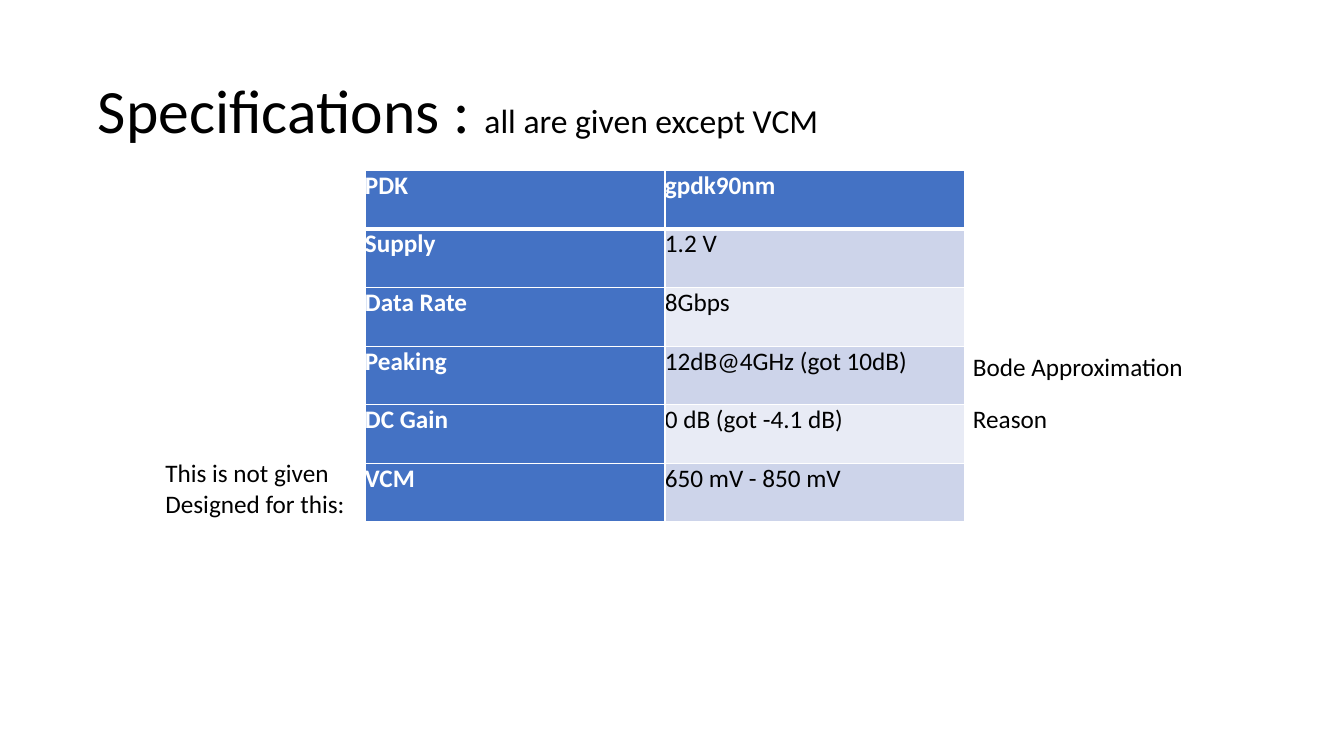
from lxml.etree import SubElement
from pptx import Presentation
from pptx.dml.color import RGBColor
from pptx.enum.text import MSO_ANCHOR, MSO_AUTO_SIZE
from pptx.oxml.ns import qn
from pptx.util import Inches, Pt

BLACK = RGBColor(0x00, 0x00, 0x00)
WHITE = RGBColor(0xFF, 0xFF, 0xFF)
BLUE = RGBColor(0x44, 0x72, 0xC4)
BAND_DARK = RGBColor(0xCD, 0xD4, 0xEA)
BAND_LIGHT = RGBColor(0xE8, 0xEB, 0xF5)

SPECIFICATIONS = [
    ("PDK", "gpdk90nm"),
    ("Supply", "1.2 V"),
    ("Data Rate", "8Gbps"),
    ("Peaking", "12dB@4GHz (got 10dB)"),
    ("DC Gain", "0 dB (got -4.1 dB)"),
    ("VCM", "650 mV - 850 mV"),
]
NOTES = [
    (["Bode Approximation"], 9.6, 3.44, 2.2, 0.36),
    (["Reason"], 9.6, 3.95, 0.85, 0.36),
    (["This is not given", "Designed for this:"], 1.59, 4.49, 1.89, 0.68),
]


def add_text(paragraph, text, size=18, color=BLACK, bold=False, font="Calibri"):
    run = paragraph.add_run()
    run.text = text
    run.font.name = font
    run.font.size = Pt(size)
    run.font.bold = bold
    run.font.color.rgb = color


def set_margins(frame, margin):
    frame.margin_left = frame.margin_right = Inches(margin)
    frame.margin_top = frame.margin_bottom = Inches(margin)


def set_borders(cell, color, **widths):
    properties = cell._tc.get_or_add_tcPr()
    for side in ("L", "R", "T", "B"):
        line = SubElement(properties, qn(f"a:ln{side}"), w=str(Pt(widths.get(side, 1))))
        fill = SubElement(line, qn("a:solidFill"))
        SubElement(fill, qn("a:srgbClr"), val=str(color))


class SlideBuilder:
    def __init__(self, presentation, margin=0.05):
        self.slide = presentation.slides.add_slide(presentation.slide_layouts[5])
        self.margin = margin

    def title(self, parts, left, top, width, height):
        shape = self.slide.shapes.title
        shape.left, shape.top = Inches(left), Inches(top)
        shape.width, shape.height = Inches(width), Inches(height)
        frame = shape.text_frame
        frame.word_wrap = True
        frame.auto_size = MSO_AUTO_SIZE.NONE
        frame.vertical_anchor = MSO_ANCHOR.MIDDLE
        set_margins(frame, self.margin)
        paragraph = frame.paragraphs[0]
        paragraph.alignment = 1
        paragraph.line_spacing = 0.9
        for text, size in parts:
            add_text(paragraph, text, size=size)

    def note(self, lines, left, top, width, height):
        box = self.slide.shapes.add_textbox(
            Inches(left), Inches(top), Inches(width), Inches(height))
        frame = box.text_frame
        frame.word_wrap = False
        frame.auto_size = MSO_AUTO_SIZE.SHAPE_TO_FIT_TEXT
        set_margins(frame, self.margin)
        for index, line in enumerate(lines):
            paragraph = frame.add_paragraph() if index else frame.paragraphs[0]
            add_text(paragraph, line)

    def table(self, rows, left, top, width, height):
        table = self.slide.shapes.add_table(
            len(rows), len(rows[0]), Inches(left), Inches(top),
            Inches(width), Inches(height)).table
        table.first_col = True
        for row, values in enumerate(rows):
            for column, text in enumerate(values):
                cell = table.cell(row, column)
                heading = row == 0 or column == 0
                set_margins(cell, 0)
                set_borders(cell, WHITE, B=3 if row == 0 else 1,
                            T=3 if row == 1 and column else 1)
                cell.fill.solid()
                band = BAND_DARK if row % 2 else BAND_LIGHT
                cell.fill.fore_color.rgb = BLUE if heading else band
                add_text(cell.text_frame.paragraphs[0], text,
                         color=WHITE if heading else BLACK, bold=heading)


def main():
    presentation = Presentation()
    presentation.slide_width = Inches(13.33)
    presentation.slide_height = Inches(7.5)
    builder = SlideBuilder(presentation)
    builder.title([("Specifications : ", 44), ("all are given except VCM", 24)],
                  0.92, 0.4, 11.5, 1.45)
    builder.table(SPECIFICATIONS, 3.62, 1.69, 5.95, 3.49)
    for note in NOTES:
        builder.note(*note)
    presentation.save("out.pptx")


if __name__ == "__main__":
    main()
